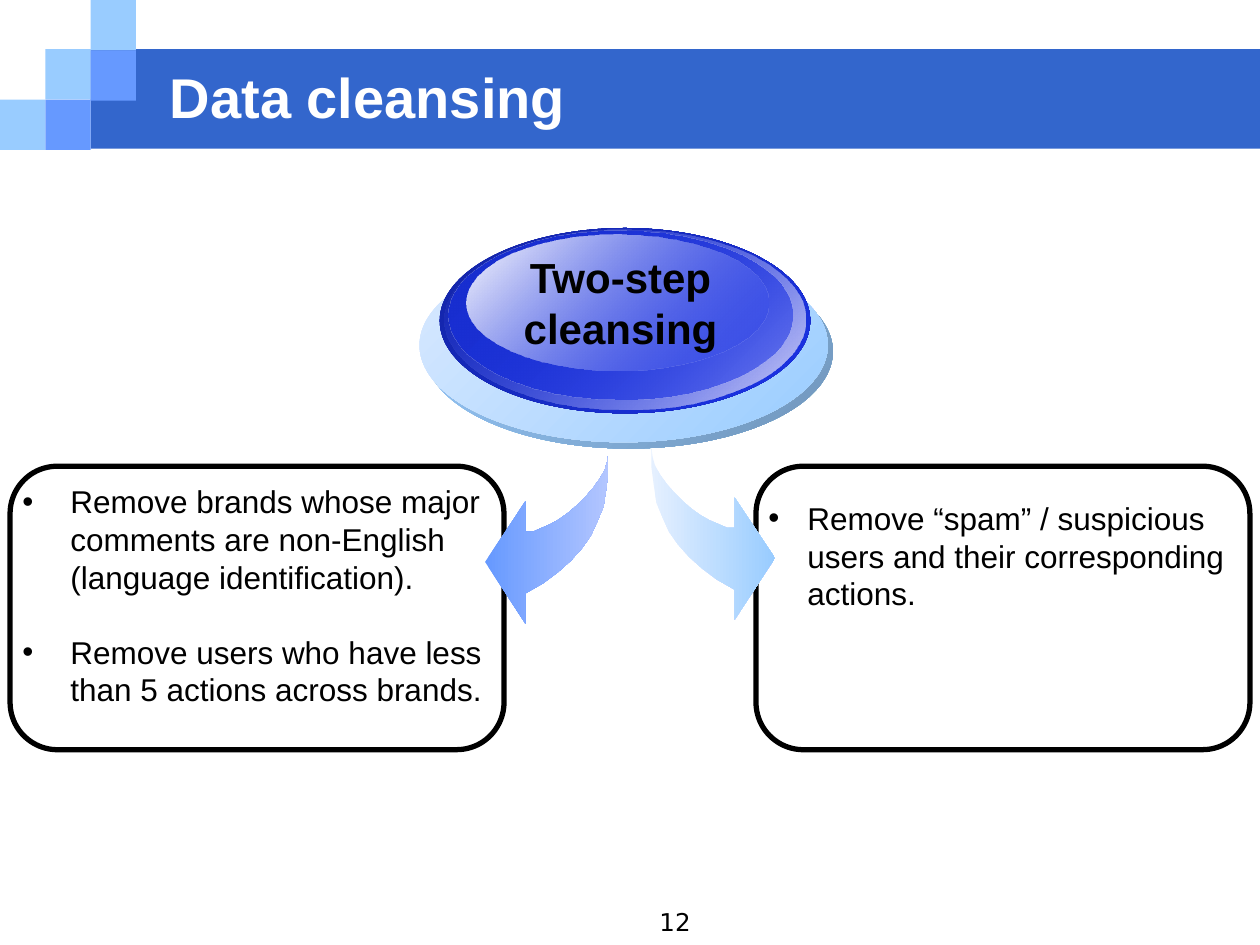
from lxml.etree import SubElement
from pptx import Presentation
from pptx.dml.color import RGBColor
from pptx.enum.shapes import MSO_SHAPE
from pptx.enum.text import MSO_ANCHOR, PP_ALIGN
from pptx.oxml.ns import qn
from pptx.util import Inches, Pt

COLORS = {
    "band": "3366CC", "sky": "99CCFF", "azure": "6699FF", "lavender": "B3C6FF",
    "ice": "E5F0FF", "mist": "DAEAFF", "steel": "7095BA", "navy": "1324A5",
    "royal": "1B33E7", "cobalt": "182ED1", "pearl": "D4D5F7",
    "white": "FFFFFF", "black": "000000",
}
SQUARE_WIDTH, SQUARE_HEIGHT = 0.36, 0.4
SQUARES = [(0, 0.79, "sky"), (0.36, 0.39, "sky"), (0.72, 0, "sky"),
           (0.72, 0.4, "azure"), (0.36, 0.79, "azure")]
CARD_LEFTS = (6, 0.08)
CARD_WIDTH = 3.92

# Position, then (colour, opacity in percent) at each end of the gradient
DISC_LAYERS = [
    ((3.37, 2.02, 3.24, 1.54), ("sky", 100), ("steel", 100)),
    ((3.33, 1.97, 3.24, 1.54), ("mist", 100), ("sky", 100)),
    ((3.49, 1.81, 2.94, 1.47), ("navy", 100), ("royal", 100)),
    ((3.53, 1.82, 2.86, 1.43), ("royal", 0), ("pearl", 100)),
    ((3.56, 1.83, 2.73, 1.34), ("cobalt", 100), ("royal", 48)),
    ((3.7, 1.86, 2.4, 1.08), ("white", 100), ("royal", 38)),
]

# Outline of the right arrow, measured from its top left corner
ARROW = [
    (0, 0), (0, 0.15), (0.02, 0.3), (0.04, 0.43), (0.09, 0.55), (0.14, 0.66),
    (0.21, 0.76), (0.3, 0.86), (0.4, 0.95), (0.52, 1.04), (0.66, 1.12),
    (0.66, 1.36), (0.98, 0.87), (0.66, 0.39), (0.66, 0.63), (0.6, 0.63),
    (0.53, 0.6), (0.46, 0.57), (0.39, 0.53), (0.32, 0.48), (0.25, 0.42),
    (0.18, 0.35), (0.12, 0.28), (0.07, 0.21), (0.03, 0.14), (0.01, 0.07),
]


def color(name):
    return RGBColor.from_string(COLORS[name])


def add_plain_shape(page, kind, place, fill=None):
    shape = page.shapes.add_shape(kind, *map(Inches, place))
    shape.shadow.inherit = False
    shape.line.fill.background()
    if fill:
        shape.fill.solid()
        shape.fill.fore_color.rgb = color(fill)
    else:
        shape.fill.background()
    return shape


def fill_gradient(shape, ends, clockwise_angle=0):
    """Blend between two (colour, opacity) ends."""
    shape.fill.gradient()
    shape.fill.gradient_angle = -clockwise_angle % 360
    for position, (stop, (name, opacity)) in enumerate(zip(shape.fill.gradient_stops, ends)):
        stop.position = position
        stop.color.rgb = color(name)
    tags = shape.element.spPr.iter(qn("a:srgbClr"))
    for tag, (name, opacity) in zip(tags, ends):
        if opacity < 100:
            SubElement(tag, qn("a:alpha"), val=str(opacity * 1000))


def add_card(page, left):
    card = add_plain_shape(page, MSO_SHAPE.ROUNDED_RECTANGLE, (left, 3.7, CARD_WIDTH, 2.25))
    card.adjustments[0] = 0.167
    card.line.color.rgb = color("black")
    card.line.width = Pt(3)


def add_arrow(page, left, top, direction, ends):
    """Draw the curved arrow, mirrored when direction is -1."""
    points = [(Inches(left + direction * x), Inches(top + y)) for x, y in ARROW]
    builder = page.shapes.build_freeform(*points[0])
    builder.add_line_segments(points[1:], close=True)
    arrow = builder.convert_to_shape()
    arrow.shadow.inherit = False
    arrow.line.fill.background()
    fill_gradient(arrow, ends)


def add_disc(page):
    for place, *ends in DISC_LAYERS:
        layer = add_plain_shape(page, MSO_SHAPE.OVAL, place)
        fill_gradient(layer, ends, 45)


def add_text(page, place, lines, size, name="black", bold=False, font="Arial",
             align=PP_ALIGN.LEFT, anchor=MSO_ANCHOR.TOP, wrap=True, indent=0, gap=0):
    """Add a text box; an indent turns its paragraphs into bullets."""
    box = page.shapes.add_textbox(*map(Inches, place))
    frame = box.text_frame
    frame.word_wrap = wrap
    frame.vertical_anchor = anchor
    for number, line in enumerate(lines):
        para = frame.add_paragraph() if number else frame.paragraphs[0]
        para.text = line
        para.alignment = align
        if number and gap:
            para.space_before = Pt(gap)
        if indent:
            properties = para._p.get_or_add_pPr()
            properties.set("marL", str(Inches(indent)))
            properties.set("indent", str(-Inches(indent)))
            SubElement(properties, qn("a:buFont"), typeface="Arial")
            SubElement(properties, qn("a:buChar"), char="•")
        para.font.name = font
        para.font.size = Pt(size)
        para.font.bold = bold
        para.font.color.rgb = color(name)


def add_header(page):
    add_plain_shape(page, MSO_SHAPE.RECTANGLE, (0.72, 0.39, 9.29, 0.79), "band")
    for left, top, fill in SQUARES:
        add_plain_shape(page, MSO_SHAPE.RECTANGLE,
                        (left, top, SQUARE_WIDTH, SQUARE_HEIGHT), fill)
    add_text(page, (1.25, 0.5, 8.08, 0.53), ["Data cleansing"], 32, "white",
             bold=True, anchor=MSO_ANCHOR.MIDDLE)


def main():
    deck = Presentation()
    deck.slide_width, deck.slide_height = Inches(10), Inches(7.5)
    page = deck.slides.add_slide(deck.slide_layouts[6])

    add_header(page)
    for left in CARD_LEFTS:
        add_card(page, left)
    add_text(page, (0.08, 3.78, CARD_WIDTH, 1.92), [
        "Remove brands whose major comments are non-English (language identification).",
        "Remove users who have less than 5 actions across brands.",
    ], 18, indent=0.38, gap=21)
    add_arrow(page, 4.83, 3.59, -1, [("azure", 100), ("lavender", 100)])
    add_arrow(page, 5.17, 3.56, 1, [("ice", 100), ("sky", 100)])
    add_disc(page)
    add_text(page, (4.05, 1.95, 1.75, 0.91), ["Two-step", "cleansing"], 24,
             bold=True, align=PP_ALIGN.CENTER, wrap=False)
    add_text(page, (6, 3.91, CARD_WIDTH, 1.01), [
        "Remove “spam” / suspicious users and their corresponding actions.",
    ], 18, indent=0.31)
    add_text(page, (3.25, 7.15, 2.33, 0.35), ["12"], 14, font="DejaVu Sans",
             align=PP_ALIGN.RIGHT)
    deck.save("out.pptx")


if __name__ == "__main__":
    main()
